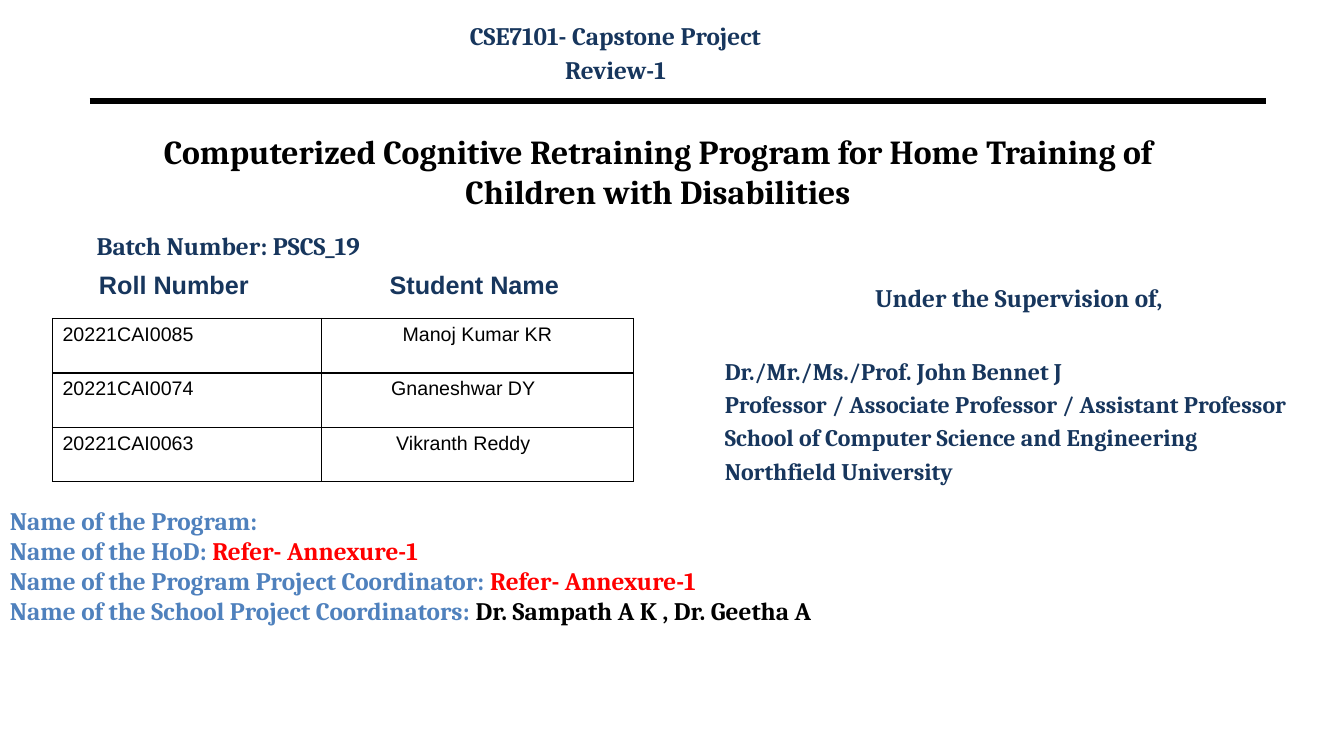
from dataclasses import dataclass

from lxml import etree
from pptx import Presentation
from pptx.dml.color import RGBColor
from pptx.enum.shapes import MSO_CONNECTOR
from pptx.enum.text import MSO_ANCHOR, PP_ALIGN
from pptx.oxml.ns import qn
from pptx.util import Inches, Pt

LEFT, CENTER = PP_ALIGN.LEFT, PP_ALIGN.CENTER
TOP, MIDDLE = MSO_ANCHOR.TOP, MSO_ANCHOR.MIDDLE
STRAIGHT = MSO_CONNECTOR.STRAIGHT


@dataclass(frozen=True)
class Theme:
    serif: str = "Cambria"
    sans: str = "Arial"
    black: str = "000000"
    navy: str = "17365D"
    blue: str = "4F81BD"
    red: str = "FF0000"
    title: float = 24
    label: float = 18
    detail: float = 17
    cell: float = 14


T = Theme()
TITLE = dict(name=T.serif, size=Pt(T.title), bold=True, color=T.black)
LABEL = dict(name=T.serif, size=Pt(T.label), bold=True, color=T.navy)
DETAIL = LABEL | dict(size=Pt(T.detail))
FIELD = LABEL | dict(color=T.blue)
REFER = LABEL | dict(color=T.red)
PERSON = LABEL | dict(color=T.black)
HEAD = LABEL | dict(name=T.sans)
CELL = dict(name=T.sans, size=Pt(T.cell), bold=False, color=T.black)


def add_run(p, text, fmt):
    r = p.add_run()
    r.text = text
    for key, value in fmt.items():
        if key == "color":
            r.font.color.rgb = RGBColor.from_string(value)
        else:
            setattr(r.font, key, value)


def add_text(s, box, paragraphs, anchor=TOP):
    """Each paragraph is (alignment, space before, [(text, format), ...])."""
    tf = s.shapes.add_textbox(*map(Inches, box)).text_frame
    tf.word_wrap = True
    tf.vertical_anchor = anchor
    for i, (align, before, runs) in enumerate(paragraphs):
        p = tf.paragraphs[0] if i == 0 else tf.add_paragraph()
        p.alignment = align
        p.space_before = Pt(before)
        for text, fmt in runs:
            add_run(p, text, fmt)


def add_rule(s, x1, x2, y, width):
    line = s.shapes.add_connector(STRAIGHT, *map(Inches, (x1, y, x2, y)))
    line.line.color.rgb = RGBColor.from_string(T.black)
    line.line.width = Pt(width)
    etree.SubElement(line._element.spPr, qn("a:effectLst"))


def add_borders(cell, width):
    tcPr = cell._tc.get_or_add_tcPr()
    for i, side in enumerate(("lnL", "lnR", "lnT", "lnB")):
        ln = etree.Element(qn(f"a:{side}"), w=str(Pt(width)))
        fill = etree.SubElement(ln, qn("a:solidFill"))
        etree.SubElement(fill, qn("a:srgbClr"), val=T.black)
        tcPr.insert(i, ln)


def add_table(s, left, top, widths, heights, rows, fmt, anchor=TOP, border=0):
    """Each cell is (text, alignment, left indent); rows not given stay blank."""
    size = (left, top, sum(widths), sum(heights))
    frame = s.shapes.add_table(len(heights), len(widths), *map(Inches, size))
    table = frame.table
    table.first_row = table.horz_banding = False
    for column, width in zip(table.columns, widths):
        column.width = Inches(width)
    for row, height in zip(table.rows, heights):
        row.height = Inches(height)
    for cell in table.iter_cells():
        cell.fill.background()
        cell.vertical_anchor = anchor
        if border:
            add_borders(cell, border)
    for i, row in enumerate(rows):
        for j, (text, align, indent) in enumerate(row):
            p = table.cell(i, j).text_frame.paragraphs[0]
            p.alignment = align
            if indent:
                p._p.get_or_add_pPr().set("marL", str(Inches(indent)))
            add_run(p, text, fmt)


def main():
    prs = Presentation()
    prs.slide_width, prs.slide_height = Inches(13.33), Inches(7.5)
    s = prs.slides.add_slide(prs.slide_layouts[6])

    # Course heading and rule
    add_rule(s, 0.89, 12.56, 1, 4.5)
    add_text(s, (3.1, 0.15, 6.01, 0.8), [
        (CENTER, 0, [("CSE7101- Capstone Project", LABEL)]),
        (CENTER, 3.1, [("Review-1", LABEL)]),
    ])

    # Project title and batch
    title = ("Computerized Cognitive Retraining Program for Home Training of "
             "Children with Disabilities")
    add_text(s, (0.86, 1.17, 11.33, 1.05), [(CENTER, 0, [(title, TITLE)])], MIDDLE)
    add_text(s, (0.86, 2.24, 4.8, 0.6), [(LEFT, 0, [("Batch Number: PSCS_19", LABEL)])])

    # Students
    add_table(s, 0.58, 2.63, (2.29, 3.67), (0.34, 0.34, 1.35, 0.34, 0.34, 0.34),
              [[("Roll Number", CENTER, 0), ("Student Name", CENTER, 0)]], HEAD, MIDDLE)
    add_table(s, 0.52, 3.16, (2.67, 3.09), [0.54] * 3, [
        [("20221CAI0085", LEFT, 0), ("Manoj Kumar KR", CENTER, 0)],
        [("20221CAI0074", LEFT, 0), ("Gnaneshwar DY", LEFT, 0.59)],
        [("20221CAI0063", LEFT, 0), ("Vikranth Reddy", LEFT, 0.64)],
    ], CELL, border=1)

    # Supervisor
    add_text(s, (7.09, 2.75, 6.03, 2.21), [
        (CENTER, 0, [("Under the Supervision of,", LABEL)]),
        (LEFT, 31.4, [("Dr./Mr./Ms./Prof. John Bennet J", DETAIL)]),
        (LEFT, 3.4, [("Professor / Associate Professor / Assistant Professor", DETAIL)]),
        (LEFT, 3.4, [("School of Computer Science and Engineering", DETAIL)]),
        (LEFT, 3.4, [("Northfield University", DETAIL)]),
    ])

    # Program contacts
    add_text(s, (0, 4.96, 13.33, 1.71), [
        (LEFT, 0, [("Name of the Program:", FIELD)]),
        (LEFT, 0, [("Name of the HoD: ", FIELD), ("Refer- Annexure-1", REFER)]),
        (LEFT, 0, [("Name of the Program Project Coordinator: ", FIELD),
                   ("Refer- Annexure-1", REFER)]),
        (LEFT, 0, [("Name of the School Project Coordinators: ", FIELD),
                   ("Dr. Sampath A K , Dr. Geetha A", PERSON)]),
    ])

    prs.save("out.pptx")


if __name__ == "__main__":
    main()
